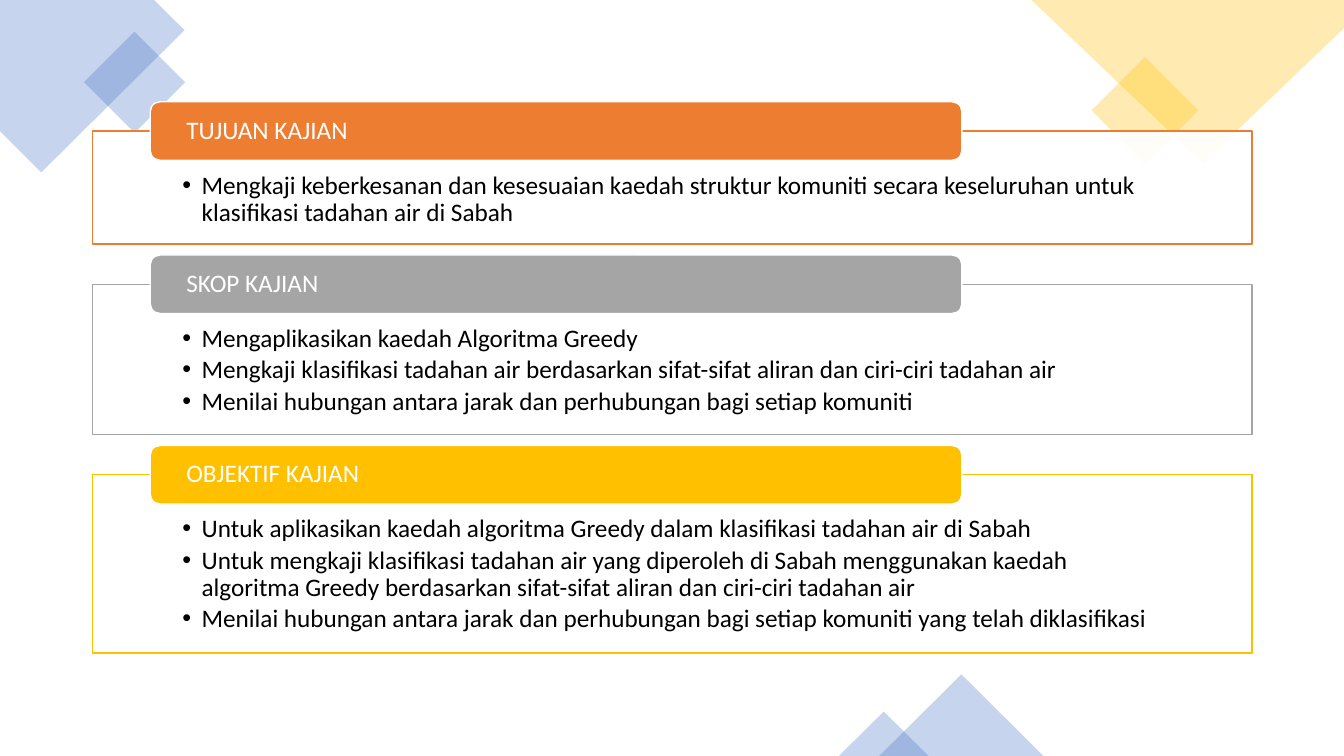
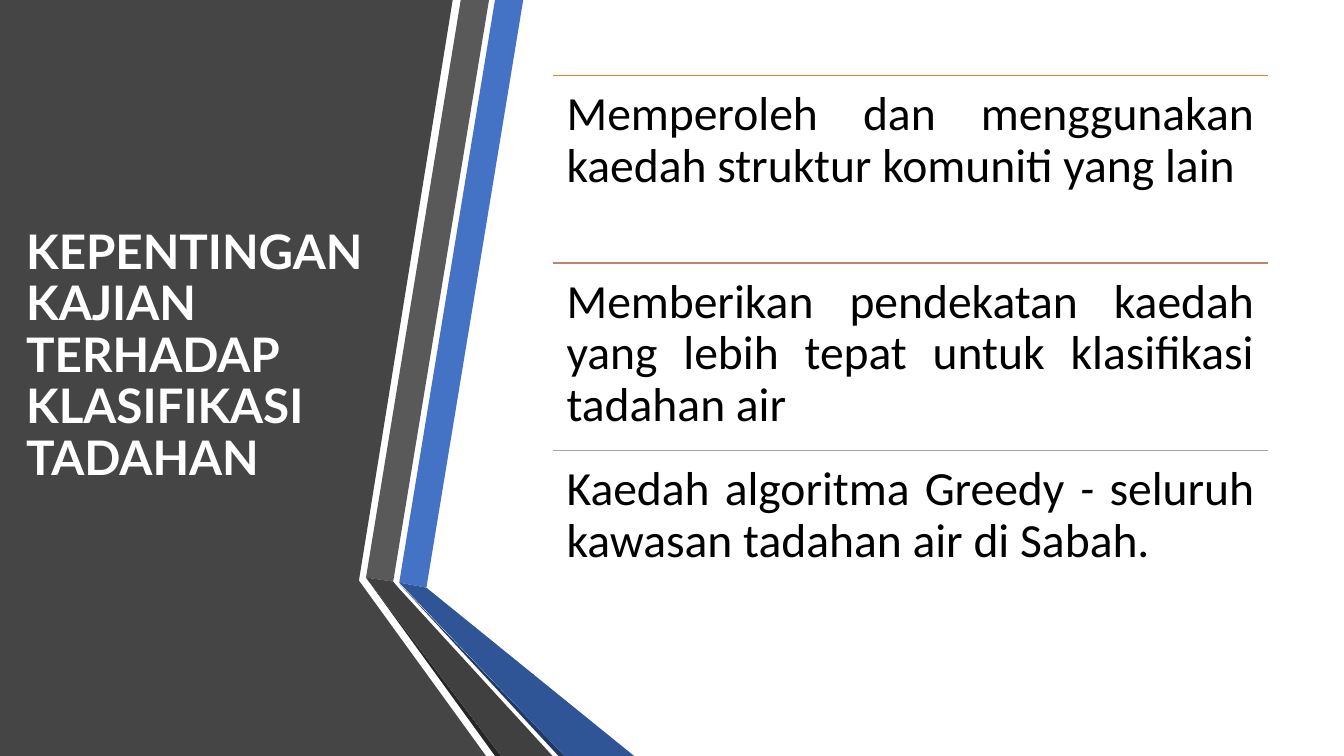
from lxml import etree
from pptx import Presentation
from pptx.dml.color import RGBColor
from pptx.enum.shapes import MSO_CONNECTOR, MSO_SHAPE
from pptx.enum.text import MSO_ANCHOR, PP_ALIGN
from pptx.oxml.ns import qn
from pptx.util import Inches, Pt

RECT = MSO_SHAPE.RECTANGLE
ROUND = MSO_SHAPE.ROUNDED_RECTANGLE
TRIANGLE = MSO_SHAPE.ISOSCELES_TRIANGLE
STRAIGHT = MSO_CONNECTOR.STRAIGHT
LEFT, JUSTIFY = PP_ALIGN.LEFT, PP_ALIGN.JUSTIFY
TOP, MIDDLE = MSO_ANCHOR.TOP, MSO_ANCHOR.MIDDLE

WHITE, BLACK = "FFFFFF", "000000"
BLUE, ORANGE, GRAY, GOLD = "4472C4", "ED7D31", "A5A5A5", "FFC000"
BODY_FONT, TITLE_FONT = "Calibri", "Lato"


def paint(sp, fill, opacity=100, line=None):
    sp.shadow.inherit = False
    sp.fill.solid()
    sp.fill.fore_color.rgb = RGBColor.from_string(fill)
    if opacity < 100:
        color = sp.fill._xPr.find(qn("a:solidFill"))[0]
        etree.SubElement(color, qn("a:alpha"), val=str(opacity * 1000))
    if line:
        sp.line.color.rgb = RGBColor.from_string(line)
        sp.line.width = Pt(1)
    else:
        sp.line.fill.background()


def style(p, size, color, font=BODY_FONT, align=LEFT, bold=False):
    p.alignment = align
    p.line_spacing = 0.9
    for r in p.runs:
        r.font.size = Pt(size)
        r.font.name = font
        r.font.bold = bold
        r.font.color.rgb = RGBColor.from_string(color)


prs = Presentation()
prs.slide_width, prs.slide_height = Inches(13.33), Inches(7.5)
title_only, blank = prs.slide_layouts[5], prs.slide_layouts[6]

aims = prs.slides.add_slide(blank)
importance = prs.slides.add_slide(title_only)

outlines = [
    (aims, BLUE, 30, [(0, 0), (1.53, 0), (1.83, 0.3), (0.41, 1.71), (0, 1.3)]),
    (aims, GOLD, 30, [(10.23, 0), (13.33, 0), (13.33, 0.28), (11.93, 1.62)]),
    (importance, "454545", 100,
     [(0, 0), (4.49, 0), (3.56, 5.76), (4.82, 7.5), (0, 7.5)]),
    (importance, BLUE, 100,
     [(3.96, 5.78), (4.23, 5.83), (5.19, 0), (4.91, 0)]),
    (importance, "595959", 100,
     [(4.85, 0), (4.57, 0), (3.63, 5.73), (3.9, 5.77)]),
    (importance, "262626", 100, [(3.63, 5.73), (4.91, 7.5), (4.97, 7.5)]),
    (importance, "203864", 100, [(3.96, 5.79), (5.54, 7.5), (5.6, 7.5)]),
    (importance, "2F5597", 100,
     [(3.96, 5.78), (5.6, 7.5), (6.29, 7.5), (4.23, 5.83)]),
    (importance, "404040", 100,
     [(3.63, 5.73), (4.97, 7.5), (5.48, 7.5), (3.95, 5.83), (3.9, 5.77)]),
]
for s, color, opacity, points in outlines:
    corners = [(Inches(x), Inches(y)) for x, y in points]
    builder = s.shapes.build_freeform(*corners[0])
    builder.add_line_segments(corners[1:], close=True)
    paint(builder.convert_to_shape(), color, opacity)

ornaments = [
    (RECT, 0.98, 0.46, 0.71, 0.71, 315, BLUE),
    (RECT, 10.98, 0.72, 0.75, 0.75, 315, GOLD),
    (TRIANGLE, 8.72, 6.69, 1.63, 0.81, 0, BLUE),
    (TRIANGLE, 8.32, 7.06, 0.89, 0.44, 0, BLUE),
]
for kind, x, y, w, h, rotation, color in ornaments:
    sp = aims.shapes.add_shape(kind, Inches(x), Inches(y), Inches(w), Inches(h))
    sp.rotation = rotation
    paint(sp, color, 30)

sections = [
    ("TUJUAN KAJIAN", ORANGE, 1.12, [
        "Mengkaji keberkesanan dan kesesuaian kaedah struktur komuniti secara "
        "keseluruhan untuk klasifikasi tadahan air di Sabah"]),
    ("SKOP KAJIAN", GRAY, 1.49, [
        "Mengaplikasikan kaedah Algoritma Greedy",
        "Mengkaji klasifikasi tadahan air berdasarkan sifat-sifat aliran dan "
        "ciri-ciri tadahan air",
        "Menilai hubungan antara jarak dan perhubungan bagi setiap komuniti"]),
    ("OBJEKTIF KAJIAN", GOLD, 1.77, [
        "Untuk aplikasikan kaedah algoritma Greedy dalam klasifikasi tadahan "
        "air di Sabah",
        "Untuk mengkaji klasifikasi tadahan air yang diperoleh di Sabah "
        "menggunakan kaedah algoritma Greedy berdasarkan sifat-sifat aliran "
        "dan ciri-ciri tadahan air",
        "Menilai hubungan antara jarak dan perhubungan bagi setiap komuniti "
        "yang telah diklasifikasi"]),
]
top = 1.3
for heading, color, height, bullets in sections:
    panel = aims.shapes.add_shape(
        RECT, Inches(0.92), Inches(top), Inches(11.5), Inches(height))
    paint(panel, WHITE, 90, color)
    tf = panel.text_frame
    tf.vertical_anchor = TOP
    tf.margin_left = tf.margin_right = Inches(0.89)
    tf.margin_top, tf.margin_bottom = Inches(0.41), Inches(0.14)
    tf.text = "\n".join(bullets)
    for p in tf.paragraphs:
        style(p, 18, BLACK)
        p.space_after = Pt(3)
        pPr = p._p.get_or_add_pPr()
        pPr.set("marL", str(Inches(0.19)))
        pPr.set("indent", str(-Inches(0.19)))
        etree.SubElement(pPr, qn("a:buFont"), typeface="Arial")
        etree.SubElement(pPr, qn("a:buChar"), char="•")

    header = aims.shapes.add_shape(
        ROUND, Inches(1.49), Inches(top - 0.29), Inches(8.05), Inches(0.58))
    paint(header, color, line=WHITE)
    tf = header.text_frame
    tf.vertical_anchor = MIDDLE
    tf.margin_left = tf.margin_right = Inches(0.33)
    tf.margin_top = tf.margin_bottom = 0
    tf.text = heading
    style(tf.paragraphs[0], 18, WHITE)
    top += height + 0.4

title = importance.shapes.title
title.left, title.top = Inches(0.16), Inches(0.75)
title.width, title.height = Inches(3.98), Inches(5.58)
tf = title.text_frame
tf.text = "KEPENTINGAN KAJIAN TERHADAP KLASIFIKASI TADAHAN"
tf.vertical_anchor = MIDDLE
style(tf.paragraphs[0], 34, WHITE, TITLE_FONT, bold=True)
importance.shapes._spTree.append(title._element)

benefits = [
    (ORANGE, ["Memperoleh dan menggunakan kaedah struktur komuniti yang lain"]),
    ("C48170", ["Memberikan pendekatan kaedah yang lebih tepat untuk "
                "klasifikasi tadahan air"]),
    (GRAY, ["Kaedah algoritma Greedy", " - ",
            "seluruh kawasan tadahan air di Sabah."]),
]
left, width, row_height = Inches(5.48), Inches(7.1), Inches(1.86)
for row, (color, parts) in enumerate(benefits):
    y = Inches(0.75) + row * row_height
    rule = importance.shapes.add_connector(STRAIGHT, left, y, left + width, y)
    rule.line.color.rgb = RGBColor.from_string(color)
    rule.line.width = Pt(1)
    etree.SubElement(rule._element.spPr, qn("a:effectLst"))

    box = importance.shapes.add_textbox(left, y, width, row_height)
    tf = box.text_frame
    tf.word_wrap = True
    tf.margin_left = tf.margin_right = Inches(0.14)
    tf.margin_top = tf.margin_bottom = Inches(0.14)
    p = tf.paragraphs[0]
    for part in parts:
        r = p.add_run()
        r.text = part
        r.font.italic = part == " - "
    style(p, 34, BLACK, align=JUSTIFY)

prs.save("out.pptx")
